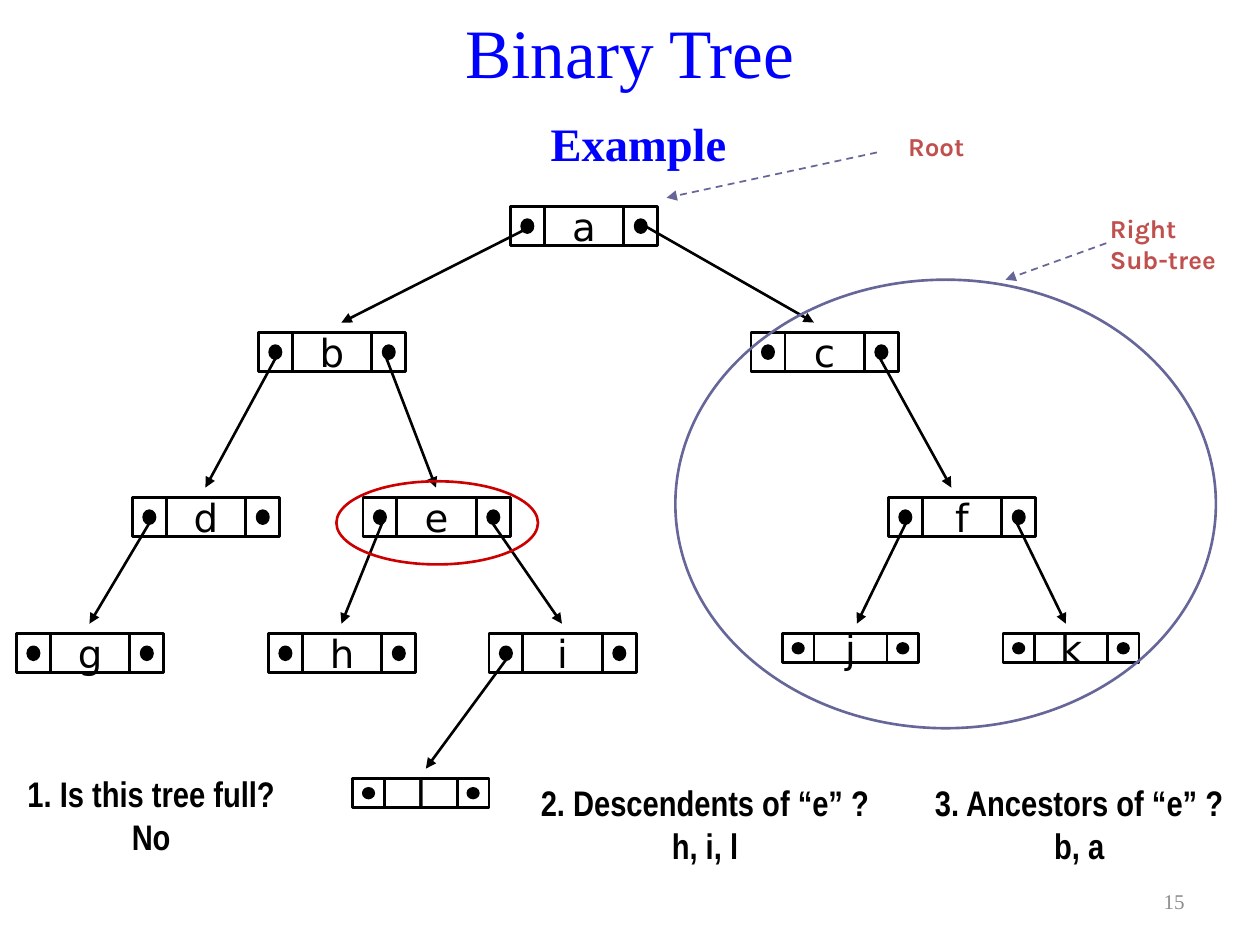
from lxml import etree
from pptx import Presentation
from pptx import util as u
from pptx.dml.color import RGBColor
from pptx.enum import dml, shapes, text
from pptx.oxml import ns

# The page is a grid of 10 columns by 7.5 rows, each cell one inch square.
COLUMNS, ROWS = 10, 7.5
CELL = u.Inches(1)
BLACK, BLUE, RED, VIOLET, CORAL, GREY = (
    "000000", "0000FF", "CC0000", "666699", "C0504D", "8C8C8C")

LEVELS = [1.64, 2.64, 3.95, 5.03, 6.18]  # top row of each tree level
LARGE = (0.27, 0.63, 0.31)  # pointer width, label width, height
SMALL = (0.25, 0.58, 0.23)
NODES = {  # label: left column, level, size
    "a": (4.05, 0, LARGE),
    "b": (2.05, 1, LARGE),
    "c": (5.96, 1, LARGE),
    "d": (1.05, 2, LARGE),
    "e": (2.88, 2, LARGE),
    "g": (0.13, 3, LARGE),
    "h": (2.13, 3, LARGE),
    "i": (3.88, 3, LARGE),
    "l": (2.8, 4, SMALL),
    "f": (7.05, 2, LARGE),
    "j": (6.21, 3, SMALL),
    "k": (7.96, 3, SMALL),
}
EDGES = [  # parent level, start column, end column
    (0, 4.21, 2.71), (0, 5.13, 6.46),
    (1, 2.21, 1.63), (1, 3.05, 3.46), (1, 6.96, 7.55),
    (2, 1.21, 0.71), (2, 3.05, 2.71), (2, 3.88, 4.46),
    (2, 7.21, 6.8), (2, 8.05, 8.46),
    (3, 4.05, 3.38),
]
QUESTIONS = [  # left, top, width, question, answer
    (0, 6.08, 2.4, "1. Is this tree full?", "No"),
    (7.31, 6.15, 2.51, "3. Ancestors of “e” ?", "b, a"),
    (4.18, 6.15, 2.83, "2. Descendents of “e” ?", "h, i, l"),
]


def color(value):
    return RGBColor.from_string(value)


def grid(*cells):
    return [round(cell * CELL) for cell in cells]


def set_font(font, name, size, value, bold=False):
    font.name, font.size, font.bold = name, u.Pt(size), bold
    font.color.rgb = color(value)


def add_outline(page, kind, area, line=BLACK, fill=None):
    shape = page.shapes.add_shape(kind, *grid(*area))
    shape.shadow.inherit = False
    if fill:
        shape.fill.solid()
        shape.fill.fore_color.rgb = color(fill)
    else:
        shape.fill.background()
    shape.line.color.rgb = color(line)
    shape.line.width = u.Pt(1.5)
    return shape


def add_node(page, label, left, top, size):
    """Draw a labelled cell between two pointer cells, each with a dot."""
    pointer, middle, height = size
    for x in (left, left + pointer + middle):
        add_outline(page, shapes.MSO_SHAPE.RECTANGLE, (x, top, pointer, height))
        dot = (x + pointer / 3, top + height / 3, pointer / 3, height / 3)
        add_outline(page, shapes.MSO_SHAPE.OVAL, dot, fill=BLACK)
    cell = add_outline(page, shapes.MSO_SHAPE.FLOWCHART_PROCESS,
                       (left + pointer, top, middle, height))
    frame = cell.text_frame
    frame.word_wrap = False
    frame.vertical_anchor = text.MSO_ANCHOR.MIDDLE
    para = frame.paragraphs[0]
    para.text = label
    para.alignment = text.PP_ALIGN.CENTER
    set_font(para.font, "DejaVu Sans", 22.1, BLACK)


def add_arrow(page, start, end, line=BLACK, width=1.5, dashed=False):
    arrow = page.shapes.add_connector(
        shapes.MSO_CONNECTOR.STRAIGHT, *grid(*start, *end))
    arrow.line.color.rgb = color(line)
    arrow.line.width = u.Pt(width)
    if dashed:
        arrow.line.dash_style = dml.MSO_LINE.DASH
    properties = arrow._element.spPr
    etree.SubElement(properties.find(ns.qn("a:ln")), ns.qn("a:tailEnd"),
                     type="triangle")
    etree.SubElement(properties, ns.qn("a:effectLst"))


def add_text(page, area, lines, font, align=text.PP_ALIGN.LEFT,
             anchor=text.MSO_ANCHOR.TOP, wrap=True):
    """Write one paragraph per line; font is name, size, colour, bold."""
    box = page.shapes.add_textbox(*grid(*area))
    frame = box.text_frame
    frame.word_wrap = wrap
    frame.vertical_anchor = anchor
    frame.text = "\n".join(lines)
    for para in frame.paragraphs:
        para.alignment = align
        set_font(para.font, *font)
    return box


def add_title(page):
    box = add_text(page, (0.5, 0.11, 9, 1.24), ["Binary Tree\v "],
                   ("Times New Roman", 39.6, BLUE),
                   text.PP_ALIGN.CENTER, text.MSO_ANCHOR.MIDDLE)
    span = box.text_frame.paragraphs[0].add_run()
    span.text = "Example"
    span.font.size, span.font.bold = u.Pt(26.6), True


def add_tree(page):
    for label, (left, level, size) in NODES.items():
        add_node(page, label, left, LEVELS[level], size)
    for level, start, end in EDGES:
        add_arrow(page, (start, LEVELS[level] + 0.16),
                  (end, LEVELS[level + 1] - 0.08))


def add_callouts(page):
    font = ("Karla", 14.8, CORAL, True)
    add_text(page, (7.11, 0.99, 0.9, 0.35), ["Root"], font)
    add_arrow(page, (6.96, 1.21), (5.29, 1.57), VIOLET, 1, dashed=True)
    add_outline(page, shapes.MSO_SHAPE.OVAL, (5.36, 2.22, 4.29, 3.56), VIOLET)
    add_text(page, (8.71, 1.64, 1.09, 0.85), ["Right Sub-tree"], font)
    add_arrow(page, (8.78, 1.93), (7.98, 2.22), VIOLET, 1, dashed=True)
    add_outline(page, shapes.MSO_SHAPE.OVAL, (2.67, 3.82, 1.6, 0.66), RED)


def main():
    deck = Presentation()
    deck.slide_width, deck.slide_height = grid(COLUMNS, ROWS)
    page = deck.slides.add_slide(deck.slide_layouts[6])
    add_tree(page)
    add_title(page)
    add_callouts(page)
    for left, top, width, question, answer in QUESTIONS:
        add_text(page, (left, top, width, 0.78), [question, answer],
                 ("Arial Narrow", 20.3, BLACK, True),
                 text.PP_ALIGN.CENTER, wrap=False)
    add_text(page, (7.17, 6.95, 2.33, 0.4), ["15"],
             ("Times New Roman", 12, GREY),
             text.PP_ALIGN.RIGHT, text.MSO_ANCHOR.MIDDLE)
    deck.save("out.pptx")


if __name__ == "__main__":
    main()
